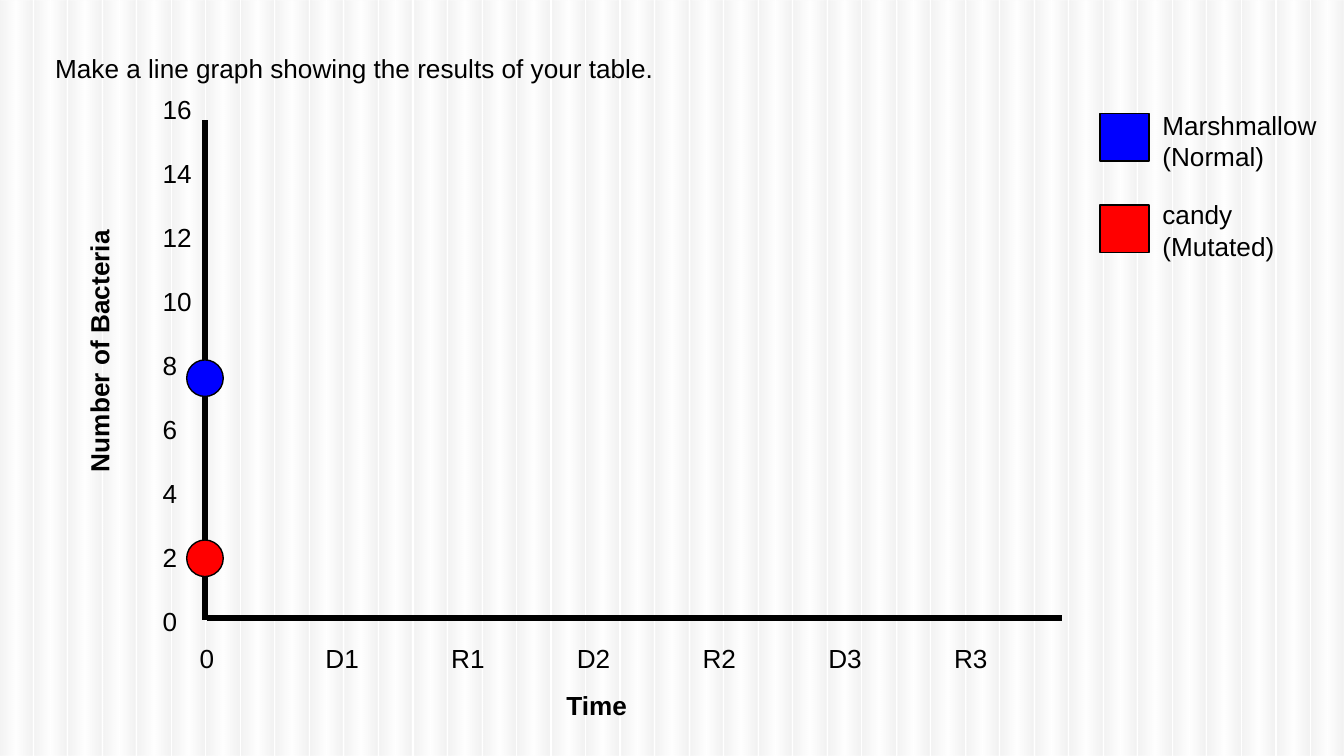
"""Build a slide with blank line graph axes, starting points and a legend for bacteria counts."""
import lxml.etree
import pptx
import pptx.dml.color
import pptx.enum.shapes
import pptx.enum.text
import pptx.oxml
import pptx.oxml.ns
import pptx.util

Pt = pptx.util.Pt
SHAPES = pptx.enum.shapes.MSO_SHAPE
ALIGN = pptx.enum.text.PP_ALIGN
ANCHOR = pptx.enum.text.MSO_ANCHOR
BLACK = pptx.dml.color.RGBColor(0x00, 0x00, 0x00)
BLUE = pptx.dml.color.RGBColor(0x00, 0x00, 0xFF)
RED = pptx.dml.color.RGBColor(0xFF, 0x00, 0x00)
STRIPE_GRAY = pptx.dml.color.RGBColor(0xBF, 0xBF, 0xBF)
STRIPE_WHITE = pptx.dml.color.RGBColor(0xFF, 0xFF, 0xFF)
STRIPE_STOPS = [(0, STRIPE_GRAY), (50, STRIPE_WHITE), (97, STRIPE_GRAY), (100, STRIPE_GRAY)]


def write_text(shape, text, bold=False, align=ALIGN.LEFT, anchor=ANCHOR.TOP):
    frame = shape.text_frame
    frame.word_wrap = True
    frame.auto_size = pptx.enum.text.MSO_AUTO_SIZE.NONE
    frame.vertical_anchor = anchor
    frame.margin_left = frame.margin_right = Pt(7.2)
    frame.margin_top = frame.margin_bottom = Pt(7.2)
    frame.text = text
    for paragraph in frame.paragraphs:
        paragraph.alignment = align
        paragraph.font.name = "Arial"
        paragraph.font.size = Pt(14)
        paragraph.font.bold = bold
        paragraph.font.color.rgb = BLACK


def add_marker(kind, left, top, width, height, color):
    shape = slide.shapes.add_shape(kind, Pt(left), Pt(top), Pt(width), Pt(height))
    shape.shadow.inherit = False
    shape.fill.solid()
    shape.fill.fore_color.rgb = color
    shape.line.color.rgb = BLACK
    shape.line.width = Pt(0.75)


presentation = pptx.Presentation()
presentation.slide_width = Pt(720)
presentation.slide_height = Pt(405)
slide = presentation.slides.add_slide(presentation.slide_layouts[5])

stops = "".join(
    f'<a:gs pos="{position * 1000}"><a:srgbClr val="{color}"><a:alpha val="19000"/></a:srgbClr></a:gs>'
    for position, color in STRIPE_STOPS
)
gradient = (
    f'<a:gradFill {pptx.oxml.ns.nsdecls("a")} rotWithShape="1">'
    f'<a:gsLst>{stops}</a:gsLst><a:lin ang="0" scaled="0"/></a:gradFill>'
)
stripes = slide.shapes.add_group_shape()
for index in range(39):
    stripe = stripes.shapes.add_shape(SHAPES.RECTANGLE, Pt(index * 18.49), Pt(0.5), Pt(17.28), Pt(404.5))
    stripe.shadow.inherit = False
    stripe.line.fill.background()
    geometry = stripe._element.spPr.find(pptx.oxml.ns.qn("a:prstGeom"))
    geometry.addnext(pptx.oxml.parse_xml(gradient))

title = slide.shapes.title
title.left, title.top, title.width, title.height = Pt(22.3), Pt(20.9), Pt(612), Pt(71.3)
write_text(title, "Make a line graph showing the results of your table.")
stripes._element.addnext(title._element)

for start_x, start_y, end_x, end_y in [(109.7, 64.3, 109.7, 332), (110.9, 331, 568.8, 331)]:
    axis = slide.shapes.add_connector(
        pptx.enum.shapes.MSO_CONNECTOR.STRAIGHT, Pt(start_x), Pt(start_y), Pt(end_x), Pt(end_y)
    )
    axis.line.color.rgb = BLACK
    axis.line.width = Pt(3)
    lxml.etree.SubElement(axis._element.spPr, pptx.oxml.ns.qn("a:effectLst"))

legend = [("Marshmallow\n(Normal)", BLUE, 60.8, 51.2), ("candy\n(Mutated)", RED, 109.9, 99.2)]
for text, color, key_top, text_top in legend:
    add_marker(SHAPES.RECTANGLE, 589.4, key_top, 26.2, 25.5, color)
    label = slide.shapes.add_textbox(Pt(615.6), Pt(text_top), Pt(104.4), Pt(47.5))
    write_text(label, text)

for index, text in enumerate(["0", "D1", "R1", "D2", "R2", "D3", "R3"]):
    label = slide.shapes.add_textbox(Pt(99.9 + index * 67.35), Pt(337), Pt(35.3), Pt(33.8))
    write_text(label, text)

scale = slide.shapes.add_textbox(Pt(80), Pt(61.2), Pt(35.3), Pt(287.3))
write_text(scale, "\n".join(str(value) for value in range(16, -1, -2)), anchor=ANCHOR.BOTTOM)
for paragraph in scale.text_frame.paragraphs[1:]:
    paragraph.space_before = Pt(17.5)

for top, color in [(192.8, BLUE), (289.3, RED)]:
    add_marker(SHAPES.OVAL, 100, top, 19.6, 19.6, color)

count_title = slide.shapes.add_textbox(Pt(-19.4), Pt(160.6), Pt(156.2), Pt(42.5))
count_title.rotation = 270
write_text(count_title, "Number of Bacteria", bold=True)

time_title = slide.shapes.add_textbox(Pt(248.4), Pt(362.2), Pt(142.6), Pt(42.5))
write_text(time_title, "Time", bold=True, align=ALIGN.CENTER)

presentation.save("out.pptx")
